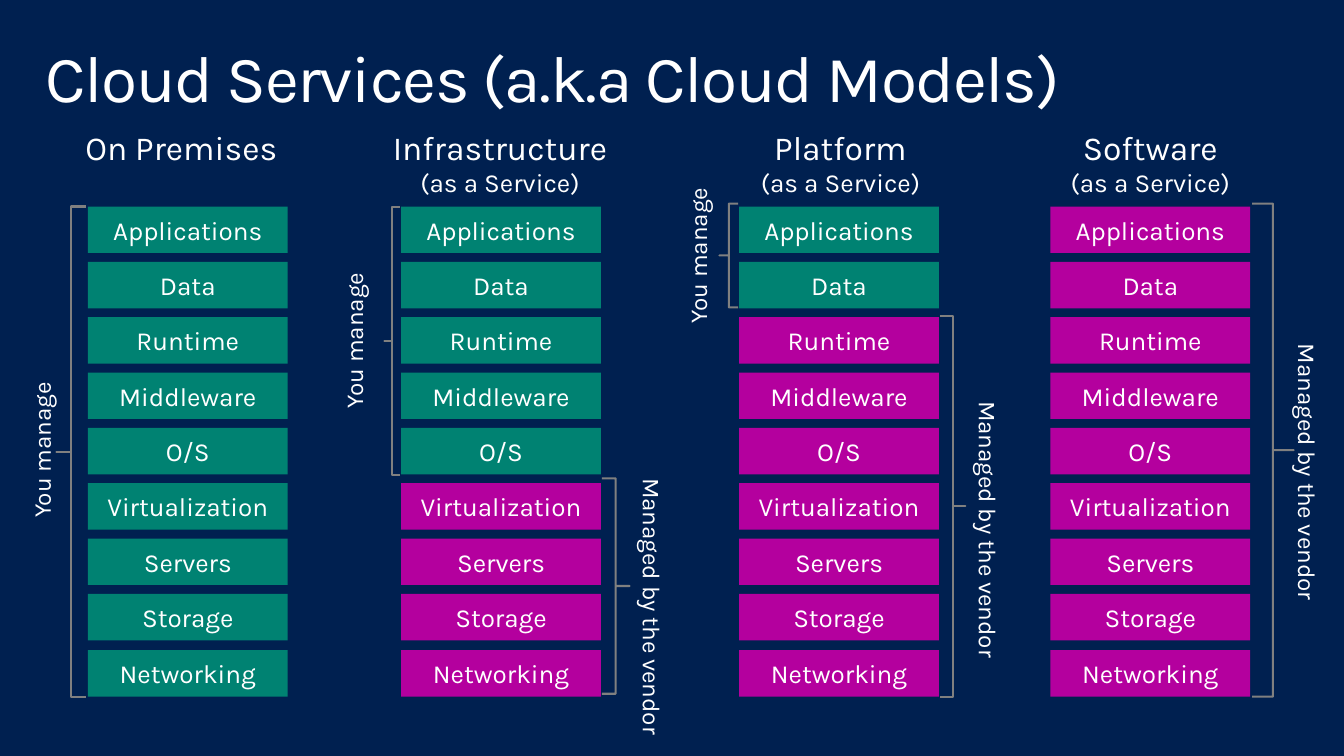
"""Build the slide that compares who manages each layer in four cloud models."""
from pptx import Presentation
from pptx.dml.color import RGBColor
from pptx.enum.shapes import MSO_SHAPE
from pptx.enum.text import MSO_ANCHOR, MSO_AUTO_SIZE, PP_ALIGN
from pptx.util import Emu, Pt

PX = 9144
NAVY = RGBColor(0x00, 0x20, 0x50)
TEAL = RGBColor(0x00, 0x82, 0x72)
MAGENTA = RGBColor(0xB4, 0x00, 0x9E)
GRAY = RGBColor(0x80, 0x80, 0x80)
WHITE = RGBColor(0xFF, 0xFF, 0xFF)
RECTANGLE = MSO_SHAPE.RECTANGLE
LEFT_BRACE, RIGHT_BRACE = MSO_SHAPE.LEFT_BRACE, MSO_SHAPE.RIGHT_BRACE
TOP, MIDDLE = MSO_ANCHOR.TOP, MSO_ANCHOR.MIDDLE
LEFT, CENTER = PP_ALIGN.LEFT, PP_ALIGN.CENTER
FIT_SHAPE, NO_FIT = MSO_AUTO_SIZE.SHAPE_TO_FIT_TEXT, MSO_AUTO_SIZE.NONE

LAYERS = ["Applications", "Data", "Runtime", "Middleware", "O/S",
          "Virtualization", "Servers", "Storage", "Networking"]
LAYER_TOP, LAYER_SPAN, LAYER_WIDTH, LAYER_HEIGHT = 209, 449, 202, 47
HEADING_TOP, HEADING_HEIGHT = 128, 79
YOU = dict(text="You manage", brace=LEFT_BRACE, turn="vert270", height=133)
VENDOR = dict(text="Managed by the vendor", brace=RIGHT_BRACE, turn="eaVert", height=237)
SERVICE = "(as a Service)"

MODELS = [
    dict(lines=["On Premises"], heading=(68, 231), left=89, own=9,
         managers=[(YOU, (57, 209, 30, 496), (22, 389))]),
    dict(lines=["Infrastructure", SERVICE], heading=(346, 320), left=406, own=5,
         managers=[(VENDOR, (609, 484, 28, 218), (630, 474)),
                   (YOU, (389, 209, 16, 272), (338, 278))]),
    dict(lines=["Platform", SERVICE], heading=(727, 247), left=748, own=2,
         managers=[(VENDOR, (951, 320, 26, 385), (970, 396)),
                   (YOU, (728, 206, 19, 105), (686, 192))]),
    dict(lines=["Software", SERVICE], heading=(1039, 250), left=1063, own=0,
         managers=[(VENDOR, (1267, 206, 42, 499), (1293, 338))]),
]


def write(para, text, size, align=CENTER, spacing=None, tracking=None):
    """Put formatted text in a paragraph."""
    para.alignment = align
    if spacing:
        para.line_spacing = spacing
    span = para.add_run()
    span.text = text
    span.font.name = "Karla"
    span.font.size = Pt(size)
    span.font.color.rgb = WHITE
    if tracking:
        span.font._element.set("spc", str(tracking))


class Board:
    """The current page and the style of its elements."""

    def __init__(self, page):
        """Keep the page and colour its background."""
        self.page = page
        page.background.fill.solid()
        page.background.fill.fore_color.rgb = NAVY

    def place(self, *lengths):
        """Turn px into EMU."""
        return [Emu(length * PX) for length in lengths]

    def frame(self, box, side, edge, anchor=TOP, wrap=True, fit=NO_FIT):
        """Set up the text frame of a box."""
        frame = box.text_frame
        frame.margin_left, frame.margin_right = self.place(side, side)
        frame.margin_top, frame.margin_bottom = self.place(edge, edge)
        frame.vertical_anchor = anchor
        frame.word_wrap = wrap
        frame.auto_size = fit
        return frame

    def title(self, text, at):
        """Fill the title placeholder."""
        box = self.page.shapes.title
        box.left, box.top, box.width, box.height = self.place(*at)
        frame = self.frame(box, 16, 10, MIDDLE)
        write(frame.paragraphs[0], text, 48, LEFT, spacing=0.9, tracking=-100)

    def heading(self, lines, left, width):
        """Add a column heading with an optional second line."""
        box = self.page.shapes.add_textbox(
            *self.place(left, HEADING_TOP, width, HEADING_HEIGHT))
        frame = self.frame(box, 0, 0)
        write(frame.paragraphs[0], lines[0], 24.5)
        for line in lines[1:]:
            write(frame.add_paragraph(), line, 19)

    def shape(self, kind, at):
        """Add a preset shape without shadow."""
        shape = self.page.shapes.add_shape(kind, *self.place(*at))
        shape.shadow.inherit = False
        return shape

    def layer(self, text, left, top, color):
        """Add one filled layer of a stack."""
        box = self.shape(RECTANGLE, (left, top, LAYER_WIDTH, LAYER_HEIGHT))
        box.fill.solid()
        box.fill.fore_color.rgb = color
        box.line.fill.background()
        write(self.frame(box, 10, 5, MIDDLE).paragraphs[0], text, 19)

    def brace(self, kind, at):
        """Add a square brace."""
        brace = self.shape(kind, at)
        brace.adjustments[0] = 0
        brace.fill.background()
        brace.line.color.rgb = GRAY
        brace.line.width = Pt(1.5)

    def side_label(self, text, turn, left, top, height):
        """Add a turned label beside a brace."""
        box = self.page.shapes.add_textbox(*self.place(left, top, 50, height))
        frame = self.frame(box, 10, 5, wrap=False, fit=FIT_SHAPE)
        frame._txBody.bodyPr.set("vert", turn)
        write(frame.paragraphs[0], text, 17.7)


def main():
    """Build and save the deck."""
    deck = Presentation()
    deck.slide_width, deck.slide_height = Emu(1360 * PX), Emu(765 * PX)
    board = Board(deck.slides.add_slide(deck.slide_layouts[5]))
    board.title("Cloud Services (a.k.a Cloud Models)", (30, 32, 1300, 100))
    for model in MODELS:
        board.heading(model["lines"], *model["heading"])
        for row, layer in enumerate(LAYERS):
            top = LAYER_TOP + row * LAYER_SPAN // (len(LAYERS) - 1)
            color = TEAL if row < model["own"] else MAGENTA
            board.layer(layer, model["left"], top, color)
        for manager, brace_at, label_at in model["managers"]:
            board.brace(manager["brace"], brace_at)
            board.side_label(manager["text"], manager["turn"], *label_at, manager["height"])
    deck.save("out.pptx")


if __name__ == "__main__":
    main()
